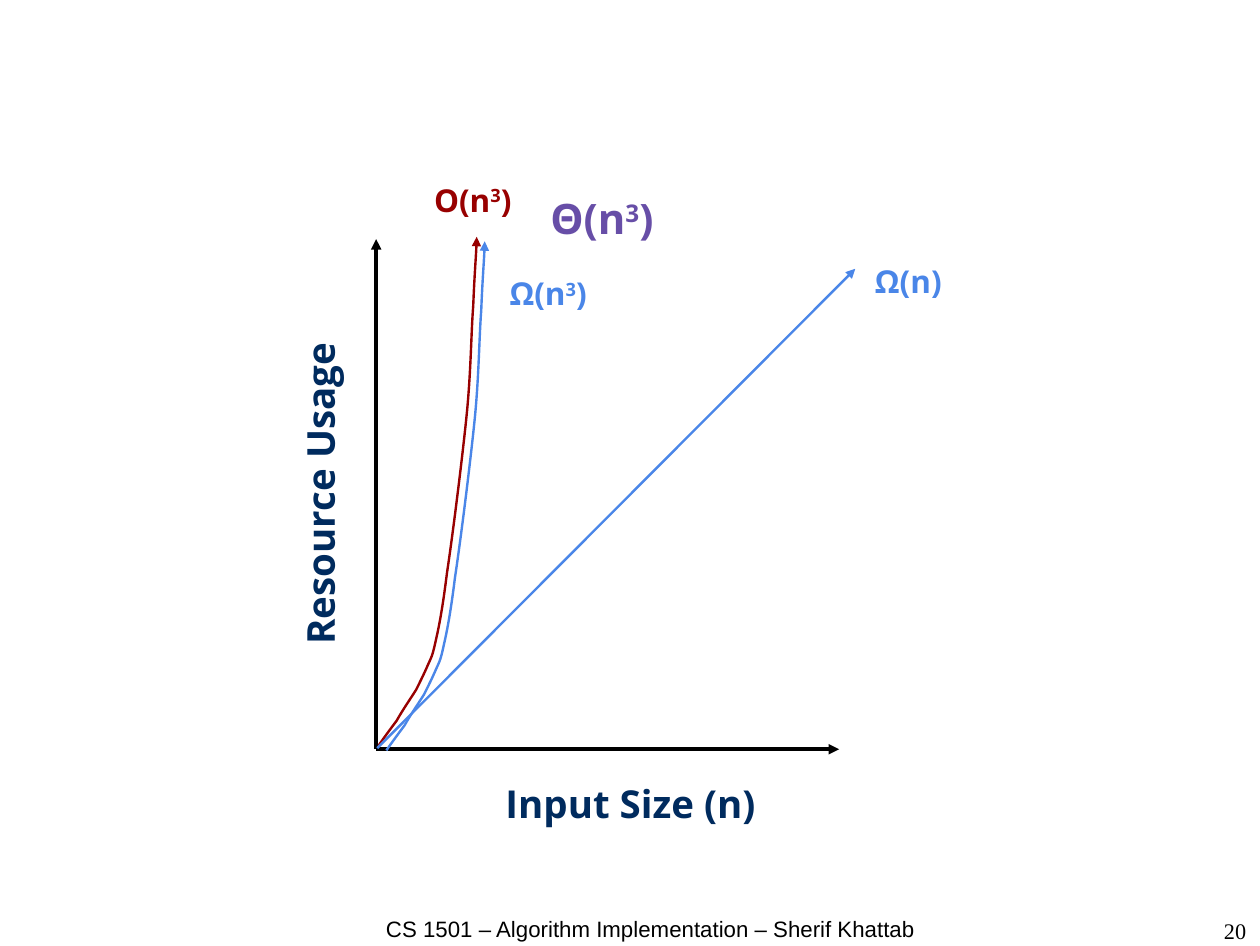
from dataclasses import dataclass

from lxml import etree
from pptx import Presentation
from pptx.dml.color import RGBColor
from pptx.enum.shapes import MSO_CONNECTOR
from pptx.enum.text import MSO_ANCHOR, PP_ALIGN
from pptx.oxml.ns import qn
from pptx.util import Inches, Pt

STRAIGHT = MSO_CONNECTOR.STRAIGHT
TOP, MIDDLE = MSO_ANCHOR.TOP, MSO_ANCHOR.MIDDLE
CENTER, RIGHT = PP_ALIGN.CENTER, PP_ALIGN.RIGHT
BLANK_LAYOUT = 6


@dataclass(frozen=True)
class Theme:
    black: str = "000000"
    navy: str = "002B5E"
    red: str = "980000"
    blue: str = "4A86E8"
    purple: str = "674EA7"
    heading_font: str = "Open Sans"
    footer_font: str = "Arial"
    number_font: str = "Times New Roman"
    axis_size: float = 24.2
    bound_size: float = 19.8
    theta_size: float = 26.4
    footer_size: float = 14
    axis_width: float = 2.25
    curve_width: float = 1.5


THEME = Theme()
ORIGIN = (3.29, 6.55)

# Start point, then two control points and an end point for each Bézier piece
CUBIC_CURVE = [
    (3.31, 6.52),
    (3.33, 6.49), (3.41, 6.38), (3.47, 6.3),
    (3.52, 6.21), (3.59, 6.11), (3.64, 6.03),
    (3.68, 5.95), (3.71, 5.89), (3.74, 5.82),
    (3.77, 5.75), (3.78, 5.75), (3.81, 5.61),
    (3.84, 5.48), (3.87, 5.33), (3.91, 5.01),
    (3.96, 4.68), (4.04, 4.04), (4.08, 3.65),
    (4.12, 3.26), (4.12, 2.93), (4.14, 2.67),
    (4.15, 2.41), (4.17, 2.17), (4.17, 2.07),
]


def style_arrow(shape, color, width):
    shape.line.color.rgb = RGBColor.from_string(color)
    shape.line.width = Pt(width)
    etree.SubElement(shape.line._get_or_add_ln(), qn("a:tailEnd"), type="triangle")
    etree.SubElement(shape._element.spPr, qn("a:effectLst"))


def add_arrow(s, start, end, color, width):
    ends = [Inches(v) for v in (*start, *end)]
    style_arrow(s.shapes.add_connector(STRAIGHT, *ends), color, width)


def add_curve(s, points, color, dx=0, dy=0):
    """Draw a Bézier arrow through the points, moved by dx and dy inches."""
    moved = [(Inches(x + dx), Inches(y + dy)) for x, y in points]
    builder = s.shapes.build_freeform(*moved[0])
    builder.add_line_segments(moved[1:], close=False)
    curve = builder.convert_to_shape()
    curve.fill.background()

    lines = list(curve._element.iter(qn("a:lnTo")))
    for i in range(0, len(lines), 3):
        bezier = etree.SubElement(lines[i].getparent(), qn("a:cubicBezTo"))
        for line in lines[i:i + 3]:
            bezier.append(line[0])
            line.getparent().remove(line)
    style_arrow(curve, color, THEME.curve_width)


def add_text(s, box, parts, size, color, font=THEME.heading_font, bold=True,
             align=CENTER, anchor=MIDDLE, inset=0.11, rotation=0):
    """Add one line of text; every second part is a superscript."""
    tb = s.shapes.add_textbox(*map(Inches, box))
    tb.rotation = rotation
    tf = tb.text_frame
    tf.word_wrap = True
    tf.vertical_anchor = anchor
    tf.margin_left = tf.margin_right = Inches(inset)
    tf.margin_top = tf.margin_bottom = Inches(inset)
    p = tf.paragraphs[0]
    p.alignment = align
    p.font.name = font
    p.font.size = Pt(size)
    p.font.bold = bold
    p.font.color.rgb = RGBColor.from_string(color)
    for i, part in enumerate(parts):
        r = p.add_run()
        r.text = part
        if i % 2:
            r.font._element.set("baseline", "30000")
    return p


def add_axes(s):
    for end in ((ORIGIN[0], 2.09), (7.34, ORIGIN[1])):
        add_arrow(s, ORIGIN, end, THEME.black, THEME.axis_width)
    add_text(s, (0.57, 3.82, 4.45, 0.99), ["Resource Usage"],
             THEME.axis_size, THEME.navy, rotation=270)
    add_text(s, (3.29, 6.53, 4.45, 0.99), ["Input Size (n)"],
             THEME.axis_size, THEME.navy)


def add_bounds(s):
    add_curve(s, CUBIC_CURVE, THEME.red)
    add_arrow(s, (3.3, 6.54), (7.48, 2.35), THEME.blue, THEME.curve_width)
    add_curve(s, CUBIC_CURVE, THEME.blue, dx=0.07, dy=0.04)
    for left, top, parts, color in (
        (3.67, 1.43, ["O(n", "3", ")"], THEME.red),
        (7.48, 2.14, ["Ω(n)"], THEME.blue),
        (4.33, 2.25, ["Ω(n", "3", ")"], THEME.blue),
    ):
        add_text(s, (left, top, 0.93, 0.63), parts, THEME.bound_size, color)
    add_text(s, (4.35, 1.29, 1.83, 1.23), ["Θ(n", "3", ")"],
             THEME.theta_size, THEME.purple)


def add_footer(s):
    add_text(s, (8.48, 7.86, 2.53, 0.55), ["20"], THEME.footer_size, THEME.black,
             font=THEME.number_font, bold=False, align=RIGHT)
    p = add_text(s, (3.07, 8.02, 5.24, 0.55),
                 ["CS 1501 – Algorithm Implementation – Sherif Khattab"],
                 THEME.footer_size, THEME.black, font=THEME.footer_font,
                 bold=False, anchor=TOP, inset=0)
    p.line_spacing = 0.96


def main():
    prs = Presentation()
    prs.slide_width, prs.slide_height = Inches(11.02), Inches(8.27)
    s = prs.slides.add_slide(prs.slide_layouts[BLANK_LAYOUT])
    add_axes(s)
    add_bounds(s)
    add_footer(s)
    prs.save("out.pptx")


if __name__ == "__main__":
    main()
